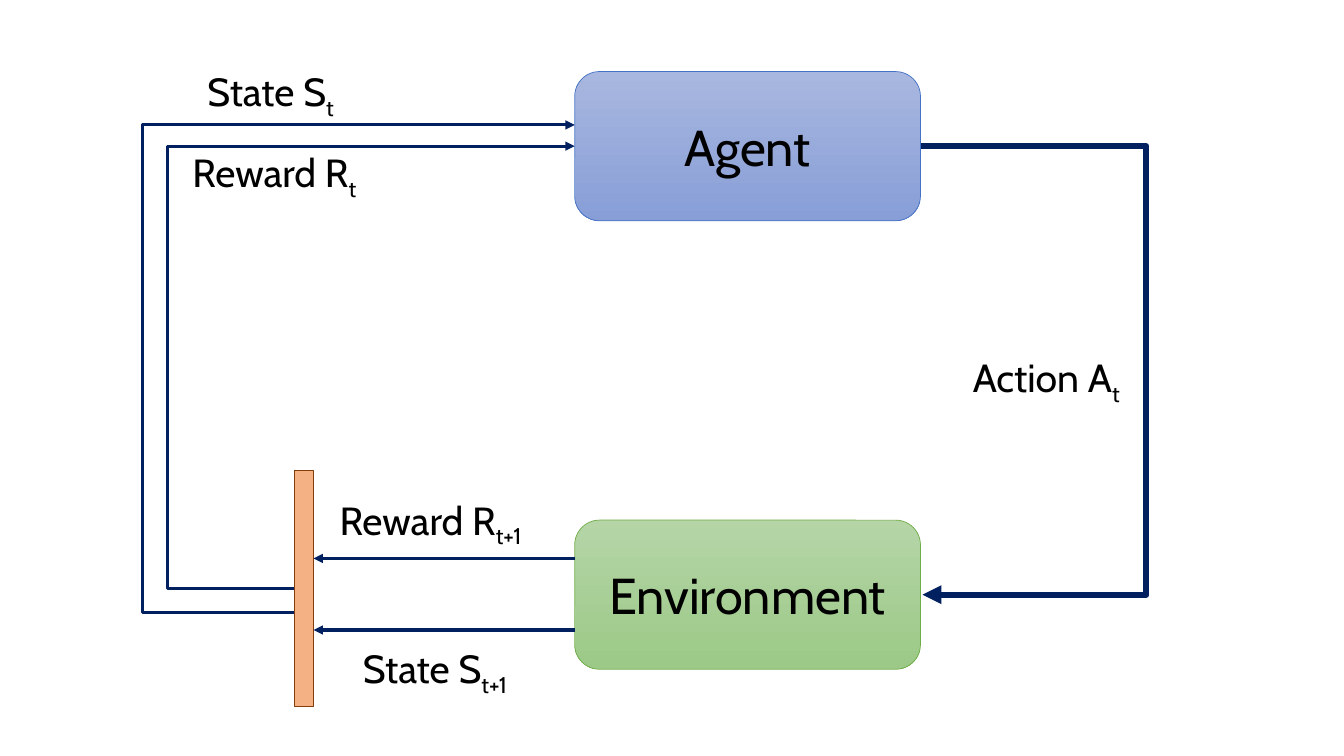
from dataclasses import dataclass
from typing import Optional

from lxml import etree
from pptx import Presentation
from pptx.dml.color import RGBColor
from pptx.enum.shapes import MSO_CONNECTOR as Link, MSO_SHAPE as Shape
from pptx.enum.text import MSO_ANCHOR as Anchor, MSO_AUTO_SIZE as AutoSize, PP_ALIGN as Align
from pptx.oxml.ns import qn
from pptx.util import Inches, Pt


@dataclass(frozen=True)
class Theme:
    font: str = "Cabin"
    text: str = "000000"
    arrow: str = "002060"
    agent: tuple[str, str, str] = ("A8B7DF", "889ED7", "4472C4")
    environment: tuple[str, str, str] = ("B5D5A7", "9CC987", "70AD47")
    step_fill: str = "F4B183"
    step_line: str = "843C0B"
    node_size: int = 36
    label_size: int = 28
    subscript: str = "-25000"


@dataclass(frozen=True)
class Node:
    name: str
    top: float
    colors: tuple[str, str, str]  # gradient top, gradient bottom, outline


@dataclass(frozen=True)
class Signal:
    start: tuple[float, float]
    end: tuple[float, float]
    bend: Optional[float] = None  # x of the vertical stretch
    weight: float = 2.25


@dataclass(frozen=True)
class Label:
    name: str
    index: str
    left: float
    top: float
    width: float


THEME = Theme()
NODE_LEFT, NODE_WIDTH, NODE_HEIGHT = 5.7, 3.43, 1.48
NODE_RIGHT = NODE_LEFT + NODE_WIDTH
STEP_LEFT, STEP_TOP, STEP_WIDTH, STEP_HEIGHT = 2.92, 4.67, 0.19, 2.34
STEP_RIGHT = STEP_LEFT + STEP_WIDTH
LABEL_HEIGHT = 0.57

NODES = [
    Node("Agent", 0.71, THEME.agent),
    Node("Environment", 5.16, THEME.environment),
]
AGENT_MIDDLE, ENVIRONMENT_MIDDLE = (node.top + NODE_HEIGHT / 2 for node in NODES)

SIGNALS = [
    # Action
    Signal((NODE_RIGHT, AGENT_MIDDLE), (NODE_RIGHT + 0.02, ENVIRONMENT_MIDDLE), 11.36, 4.5),
    # Next reward and next state
    Signal((NODE_LEFT, 5.54), (STEP_RIGHT, 5.54)),
    Signal((NODE_LEFT, 6.25), (STEP_RIGHT, 6.25)),
    # Current reward and current state
    Signal((STEP_LEFT, 5.84), (NODE_LEFT, AGENT_MIDDLE), 1.66),
    Signal((STEP_LEFT, 6.08), (NODE_LEFT, 1.24), 1.41),
]

LABELS = [
    Label("Action A", "t", 9.55, 3.46, 1.7),
    Label("State S", "t+1", 3.5, 6.34, 1.68),
    Label("Reward R", "t+1", 3.27, 4.87, 2.13),
    Label("Reward R", "t", 1.81, 1.42, 1.91),
    Label("State S", "t", 1.96, 0.62, 1.46),
]


def rgb(code: str) -> RGBColor:
    return RGBColor.from_string(code)


def format_run(run, size: int) -> None:
    run.font.name = THEME.font
    run.font.size = Pt(size)
    run.font.color.rgb = rgb(THEME.text)


def draw_node(slide, node: Node) -> None:
    box = slide.shapes.add_shape(
        Shape.ROUNDED_RECTANGLE, Inches(NODE_LEFT), Inches(node.top),
        Inches(NODE_WIDTH), Inches(NODE_HEIGHT))
    box.shadow.inherit = False
    *gradient, outline = node.colors
    box.fill.gradient()
    box.fill.gradient_angle = 270
    for stop, color in zip(box.fill.gradient_stops, gradient):
        stop.color.rgb = rgb(color)
    box.line.color.rgb = rgb(outline)
    box.line.width = Pt(0.5)

    frame = box.text_frame
    frame.text = node.name
    frame.word_wrap = False
    frame.vertical_anchor = Anchor.MIDDLE
    name = frame.paragraphs[0]
    name.alignment = Align.CENTER
    format_run(name.runs[0], THEME.node_size)


def draw_step(slide) -> None:
    step = slide.shapes.add_shape(
        Shape.RECTANGLE, Inches(STEP_LEFT), Inches(STEP_TOP),
        Inches(STEP_WIDTH), Inches(STEP_HEIGHT))
    step.shadow.inherit = False
    step.fill.solid()
    step.fill.fore_color.rgb = rgb(THEME.step_fill)
    step.line.color.rgb = rgb(THEME.step_line)
    step.line.width = Pt(1)


def draw_signal(slide, signal: Signal) -> None:
    kind = Link.STRAIGHT if signal.bend is None else Link.ELBOW
    arrow = slide.shapes.add_connector(
        kind, *(Inches(value) for value in signal.start + signal.end))
    arrow.line.color.rgb = rgb(THEME.arrow)
    arrow.line.width = Pt(signal.weight)
    properties = arrow._element.spPr
    etree.SubElement(arrow.line._get_or_add_ln(), qn("a:tailEnd"), type="triangle")
    etree.SubElement(properties, qn("a:effectLst"))

    # The bend is a share of the distance from start to end
    if signal.bend is not None:
        share = (signal.bend - signal.start[0]) / (signal.end[0] - signal.start[0])
        adjustments = properties.find(qn("a:prstGeom")).get_or_add_avLst()
        etree.SubElement(adjustments, qn("a:gd"), name="adj1",
                         fmla=f"val {round(share * 100000)}")


def draw_label(slide, label: Label) -> None:
    box = slide.shapes.add_textbox(
        Inches(label.left), Inches(label.top), Inches(label.width), Inches(LABEL_HEIGHT))
    frame = box.text_frame
    frame.word_wrap = False
    frame.auto_size = AutoSize.SHAPE_TO_FIT_TEXT
    symbol = frame.paragraphs[0]
    symbol.text = label.name
    index = symbol.add_run()
    index.text = label.index
    for run in symbol.runs:
        format_run(run, THEME.label_size)
    index._r.get_or_add_rPr().set("baseline", THEME.subscript)


presentation = Presentation()
presentation.slide_width = Inches(13.33)
presentation.slide_height = Inches(7.5)
loop = presentation.slides.add_slide(presentation.slide_layouts[6])

# Agent, environment and the time step between them
for node in NODES:
    draw_node(loop, node)
draw_step(loop)

# Signals and their names
for signal in SIGNALS:
    draw_signal(loop, signal)
for label in LABELS:
    draw_label(loop, label)

presentation.save("out.pptx")
